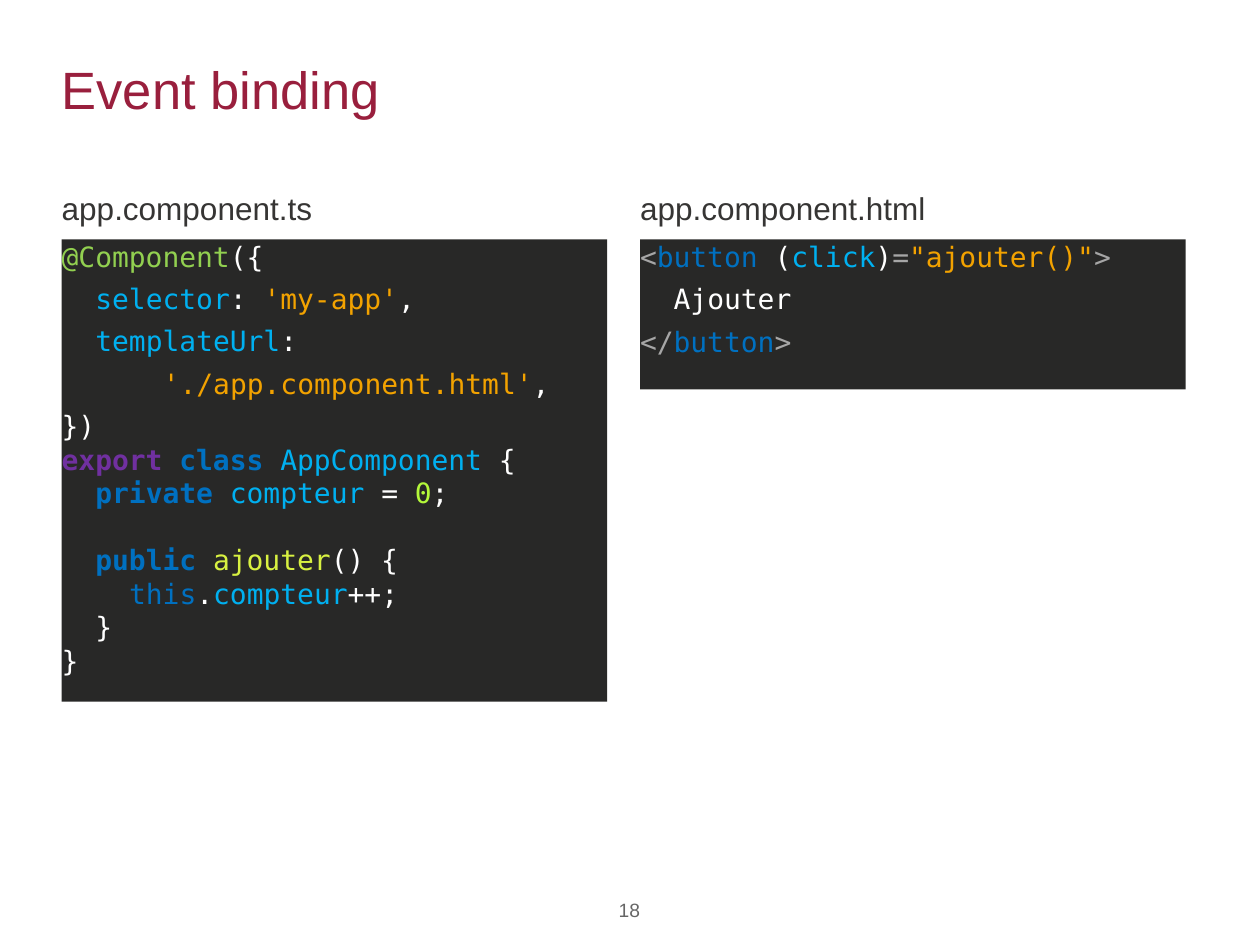
from pptx import Presentation
from pptx.dml.color import RGBColor
from pptx.enum import shapes, text
from pptx.util import Inches, Pt

CRIMSON = RGBColor(0x99, 0x1F, 0x3D)
CHARCOAL = RGBColor(0x36, 0x35, 0x34)
PAGE_GRAY = RGBColor(0x66, 0x66, 0x66)
CODE_BG = RGBColor(0x28, 0x28, 0x27)
WHITE = RGBColor(0xFF, 0xFF, 0xFF)
GRAY = RGBColor(0xA6, 0xA6, 0xA6)
GREEN = RGBColor(0x92, 0xD0, 0x50)
CYAN = RGBColor(0x00, 0xB0, 0xF0)
ORANGE = RGBColor(0xF2, 0xA2, 0x00)
PURPLE = RGBColor(0x70, 0x30, 0xA0)
BLUE = RGBColor(0x00, 0x70, 0xC0)
LIME = RGBColor(0xB4, 0xF8, 0x3A)
YELLOW = RGBColor(0xD8, 0xF1, 0x41)

SANS = "Arial"
MONO = "DejaVu Sans Mono"
CODE_SIZE = 16
CHAR_WIDTH = Pt(9.63)  # one monospaced character at CODE_SIZE
WIDE = 5  # space before a line, in points
BLANK_LINE = 19
BOLD_WORDS = {"export ", "class ", "private ", "public "}

# Each line of code: indent in characters, space before, (text, colour) runs
TS_CODE = [
    (0, 0, [("@Component", GREEN), ("({", WHITE)]),
    (2, WIDE, [("selector", CYAN), (": ", WHITE), ("'my-app'", ORANGE), (",", WHITE)]),
    (2, WIDE, [("templateUrl", CYAN), (":", WHITE)]),
    (6, WIDE, [("'./app.component.html'", ORANGE), (",", WHITE)]),
    (0, WIDE, [("})", WHITE)]),
    (0, 0, [("export ", PURPLE), ("class ", BLUE), ("AppComponent ", CYAN), ("{", WHITE)]),
    (2, 0, [("private ", BLUE), ("compteur ", CYAN), ("= ", WHITE), ("0", LIME),
            (";", WHITE)]),
    (2, BLANK_LINE, [("public ", BLUE), ("ajouter", YELLOW), ("() {", WHITE)]),
    (4, 0, [("this", BLUE), (".", WHITE), ("compteur", CYAN), ("++;", WHITE)]),
    (2, 0, [("}", WHITE)]),
    (0, 0, [("}", WHITE)]),
]
HTML_CODE = [
    (0, 0, [("<", GRAY), ("button ", BLUE), ("(", WHITE), ("click", CYAN), (")", WHITE),
            ("=", GRAY), ('"ajouter()"', ORANGE), (">", GRAY)]),
    (2, WIDE, [("Ajouter", WHITE)]),
    (0, WIDE, [("</", GRAY), ("button", BLUE), (">", GRAY)]),
]


def prepare_frame(sp, anchor=text.MSO_ANCHOR.TOP):
    """Remove the margins, turn on wrapping and return the text frame."""
    tf = sp.text_frame
    tf.margin_left = tf.margin_right = tf.margin_top = tf.margin_bottom = 0
    tf.word_wrap = True
    tf.vertical_anchor = anchor
    return tf


def add_run(p, words, font, size, color, bold=False):
    r = p.add_run()
    r.text = words
    r.font.name = font
    r.font.size = Pt(size)
    r.font.color.rgb = color
    r.font.bold = bold


def add_label(s, box, words, size, color, align=text.PP_ALIGN.LEFT,
              anchor=text.MSO_ANCHOR.TOP):
    sp = s.shapes.add_textbox(*map(Inches, box))
    p = prepare_frame(sp, anchor).paragraphs[0]
    p.alignment = align
    add_run(p, words, SANS, size, color)


def add_code(s, box, lines):
    sp = s.shapes.add_shape(shapes.MSO_SHAPE.RECTANGLE, *map(Inches, box))
    sp.shadow.inherit = False
    sp.fill.solid()
    sp.fill.fore_color.rgb = CODE_BG
    sp.line.fill.background()
    tf = prepare_frame(sp)
    for i, (indent, before, runs) in enumerate(lines):
        p = tf.add_paragraph() if i else tf.paragraphs[0]
        p.alignment = text.PP_ALIGN.LEFT
        p.space_before = Pt(before)
        p._p.get_or_add_pPr().set("marL", str(indent * CHAR_WIDTH))
        for words, color in runs:
            add_run(p, words, MONO, CODE_SIZE, color, words in BOLD_WORDS)


def add_listing(s, left, height, file_name, lines):
    """A file name above its code panel."""
    add_code(s, (left, 1.9, 4.33, height), lines)
    add_label(s, (left, 1.5, 4.34, 0.3), file_name, 18, CHARCOAL)


def main():
    prs = Presentation()
    prs.slide_width, prs.slide_height = Inches(10), Inches(7.5)
    s = prs.slides.add_slide(prs.slide_layouts[6])
    add_label(s, (0.49, 0.2, 9.01, 1.01), "Event binding", 30, CRIMSON,
              anchor=text.MSO_ANCHOR.MIDDLE)
    add_listing(s, 0.49, 3.67, "app.component.ts", TS_CODE)
    add_listing(s, 5.08, 1.19, "app.component.html", HTML_CODE)
    add_label(s, (4.57, 7.13, 0.85, 0.26), "18", 11, PAGE_GRAY,
              align=text.PP_ALIGN.CENTER)
    prs.save("out.pptx")


if __name__ == "__main__":
    main()
